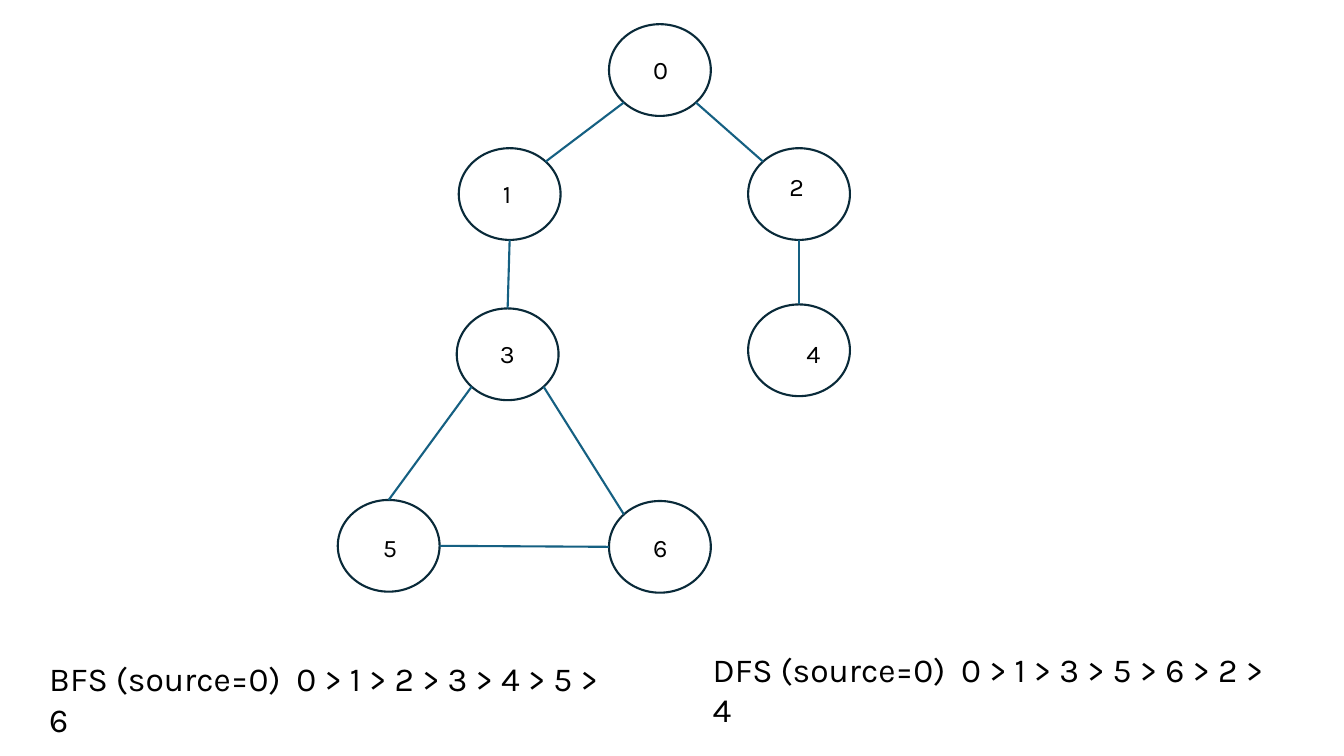
from math import cos, radians, sin

from lxml import etree
from pptx import Presentation
from pptx.dml.color import RGBColor
from pptx.enum.shapes import MSO_CONNECTOR, MSO_SHAPE
from pptx.enum.text import MSO_AUTO_SIZE
from pptx.oxml.ns import qn
from pptx.util import Inches, Pt

OVAL = MSO_SHAPE.OVAL
STRAIGHT = MSO_CONNECTOR.STRAIGHT
GROW = MSO_AUTO_SIZE.SHAPE_TO_FIT_TEXT

OUTLINE = RGBColor(0x09, 0x2A, 0x39)
EDGE = RGBColor(0x15, 0x60, 0x82)
BLACK = RGBColor(0x00, 0x00, 0x00)
FONT = "Karla"
NODE_WIDTH, NODE_HEIGHT = 1.01, 0.91
LABEL_WIDTH, LABEL_HEIGHT = 0.34, 0.4

NODES = {
    "0": (6.04, 0.24),
    "1": (4.55, 1.47),
    "2": (7.42, 1.47),
    "3": (4.53, 3.06),
    "4": (7.42, 3.02),
    "5": (3.35, 4.96),
    "6": (6.04, 4.97),
}
LABELS = {
    "0": (6.38, 0.49),
    "1": (4.89, 1.72),
    "2": (7.73, 1.65),
    "3": (4.86, 3.31),
    "4": (7.9, 3.31),
    "5": (3.7, 5.23),
    "6": (6.38, 5.23),
}
ANGLES = {
    "right": 0, "bottom right": 45, "bottom": 90, "bottom left": 135,
    "left": 180, "top left": 225, "top": 270, "top right": 315,
}
EDGES = [
    ("1", "top right", "0", "bottom left"),
    ("2", "top left", "0", "bottom right"),
    ("1", "bottom", "3", "top"),
    ("4", "top", "2", "bottom"),
    ("5", "top", "3", "bottom left"),
    ("5", "right", "6", "left"),
    ("3", "bottom right", "6", "top left"),
]
TRAVERSALS = [
    ("BFS (source=0)  0 > 1 > 2 > 3 > 4 > 5 > 6", 0.39, 6.48, 5.7),
    ("DFS (source=0)  0 > 1 > 3 > 5 > 6 > 2 > 4", 6.97, 6.39, 5.73),
]


def add_node(page, left, top):
    """Draw one unfilled graph node."""
    node = page.shapes.add_shape(
        OVAL, Inches(left), Inches(top), Inches(NODE_WIDTH), Inches(NODE_HEIGHT))
    node.shadow.inherit = False
    node.fill.background()
    node.line.color.rgb = OUTLINE
    node.line.width = Pt(1.5)


def rim_point(name, side):
    """Return the point on a node's rim at the named side."""
    left, top = NODES[name]
    angle = radians(ANGLES[side])
    return (Inches(left + NODE_WIDTH / 2 * (1 + cos(angle))),
            Inches(top + NODE_HEIGHT / 2 * (1 + sin(angle))))


def add_edge(page, start, start_side, end, end_side):
    """Join two nodes with a straight line."""
    edge = page.shapes.add_connector(
        STRAIGHT, *rim_point(start, start_side), *rim_point(end, end_side))
    edge.line.color.rgb = EDGE
    edge.line.width = Pt(1.5)
    etree.SubElement(edge._element.spPr, qn("a:effectLst"))


def add_text(page, text, left, top, width, height, size, wrap):
    """Add a one-paragraph text box."""
    box = page.shapes.add_textbox(
        Inches(left), Inches(top), Inches(width), Inches(height))
    frame = box.text_frame
    frame.word_wrap = wrap
    frame.auto_size = GROW
    frame.text = text
    span = frame.paragraphs[0].runs[0]
    span.font.name = FONT
    span.font.size = Pt(size)
    span.font.color.rgb = BLACK


def main():
    """Build the graph traversal slide."""
    deck = Presentation()
    deck.slide_width, deck.slide_height = Inches(13.33), Inches(7.5)
    page = deck.slides.add_slide(deck.slide_layouts[6])
    for left, top in NODES.values():
        add_node(page, left, top)
    for edge in EDGES:
        add_edge(page, *edge)
    for name, (left, top) in LABELS.items():
        add_text(page, name, left, top, LABEL_WIDTH, LABEL_HEIGHT, 18, False)
    for text, left, top, width in TRAVERSALS:
        add_text(page, text, left, top, width, 0.5, 24, True)
    deck.save("out.pptx")


if __name__ == "__main__":
    main()
